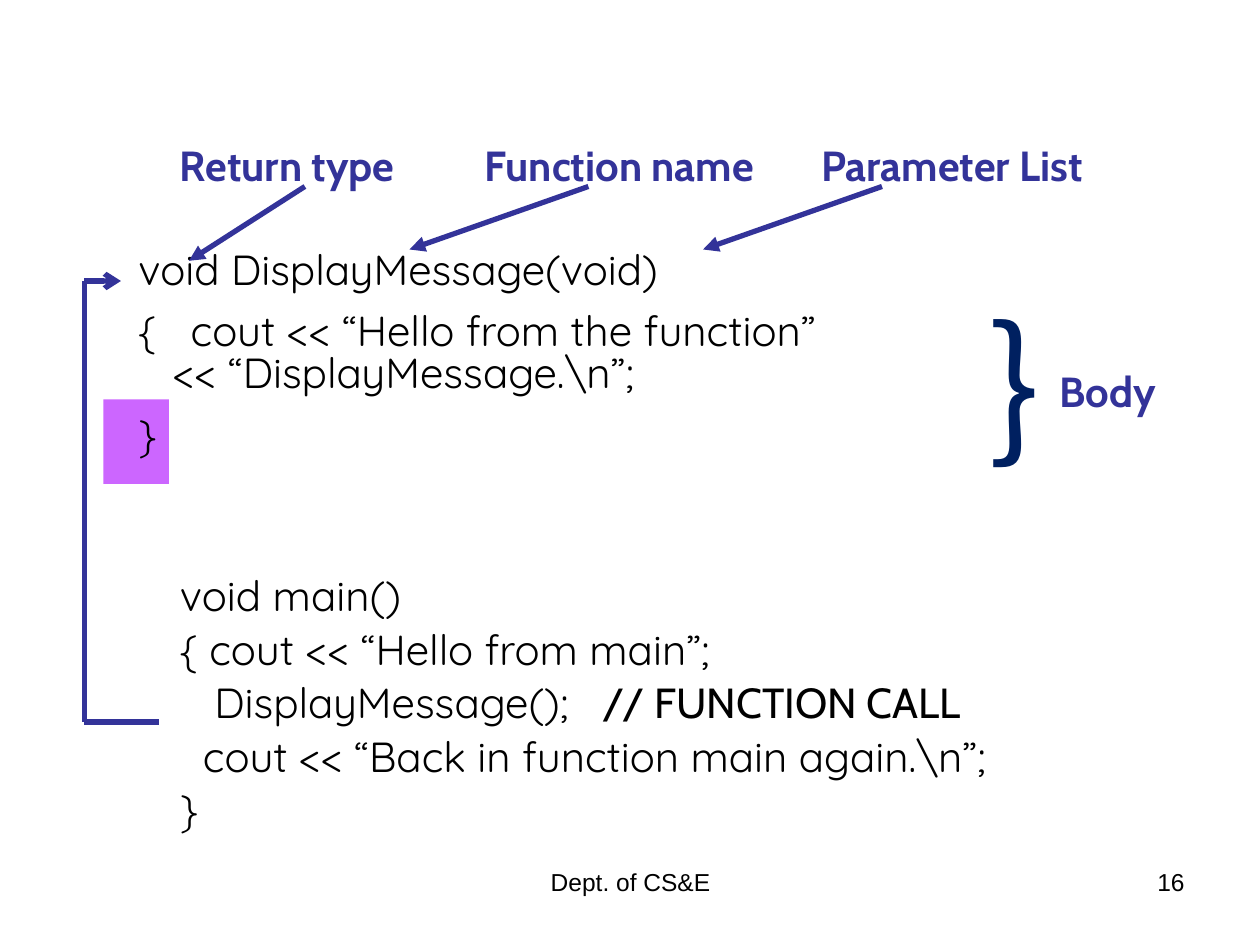
from pptx import Presentation
from pptx.dml.color import RGBColor
from pptx.enum.shapes import MSO_CONNECTOR as Connector, MSO_SHAPE as Shape
from pptx.enum.text import PP_ALIGN as Align
from pptx.oxml.ns import qn
from pptx.util import Inches, Pt
from lxml.etree import SubElement

BLACK = RGBColor(0x00, 0x00, 0x00)
INDIGO = RGBColor(0x33, 0x33, 0x99)
NAVY = RGBColor(0x00, 0x20, 0x60)
PURPLE = RGBColor(0xCC, 0x66, 0xFF)
CODE_FONT = "Quicksand"
LABEL_FONT = "Cabin"


def add_box(page, left, top, width, height):
    box = page.shapes.add_textbox(Inches(left), Inches(top), Inches(width), Inches(height))
    box.text_frame.word_wrap = True
    return box.text_frame


def add_span(para, text, size, font, color, bold=False):
    span = para.add_run()
    span.text = text
    span.font.size = Pt(size)
    span.font.name = font
    span.font.bold = bold
    span.font.color.rgb = color


def add_text(page, place, text, size, font, color, bold=False, align=Align.LEFT):
    para = add_box(page, *place).paragraphs[0]
    para.alignment = align
    add_span(para, text, size, font, color, bold)


def add_code(page, place, lines, spacings):
    """Each line is a list of (text, font) spans; None breaks the line."""
    frame = add_box(page, *place)
    for index, (spans, spacing) in enumerate(zip(lines, spacings)):
        para = frame.add_paragraph() if index else frame.paragraphs[0]
        para.line_spacing = spacing
        para.space_before = Pt(10.5 if index else 0)
        for span in spans:
            if span is None:
                para.add_line_break()
            else:
                add_span(para, span[0], 24, span[1], BLACK)


def add_line(shapes, start, end, head=None):
    points = [Inches(value) for value in (*start, *end)]
    line = shapes.add_connector(Connector.STRAIGHT, *points)
    line.line.color.rgb = INDIGO
    line.line.width = Pt(3)
    if head:
        SubElement(line.line._get_or_add_ln(), qn("a:tailEnd"), type=head)
    SubElement(line._element.spPr, qn("a:effectLst"))


def add_highlight(page, left, top, width, height):
    mark = page.shapes.add_shape(
        Shape.RECTANGLE, Inches(left), Inches(top), Inches(width), Inches(height))
    mark.shadow.inherit = False
    mark.fill.solid()
    mark.fill.fore_color.rgb = PURPLE
    mark.line.fill.background()


def main():
    deck = Presentation()
    deck.slide_width, deck.slide_height = Inches(10), Inches(7.5)
    page = deck.slides.add_slide(deck.slide_layouts[6])

    # Function definition, with its closing brace highlighted
    add_highlight(page, 0.82, 3.17, 0.52, 0.67)
    add_code(page, (1, 1.98, 7.97, 1.71), [
        [("void DisplayMessage(void)", CODE_FONT)],
        [("{   cout << “Hello from the function”", CODE_FONT), None,
         ("   << “DisplayMessage.\\n”;", CODE_FONT)],
        [("}", CODE_FONT)],
    ], [0.75, 0.85, 0.85])

    # Calling program
    add_code(page, (1.33, 4.58, 8.42, 2.09), [
        [("void main()", CODE_FONT)],
        [("{ cout << “Hello from main”;", CODE_FONT)],
        [("   DisplayMessage();   ", CODE_FONT), ("// FUNCTION CALL", LABEL_FONT)],
        [("  cout << “Back in function main again.\\n”;", CODE_FONT)],
        [("}", CODE_FONT)],
    ], [0.7] * 5)

    # Path from the call up to the definition
    path_group = page.shapes.add_group_shape()
    corners = [(1.26, 5.73), (0.67, 5.73), (0.67, 2.23), (0.96, 2.23)]
    heads = [None, None, "arrow"]
    for start, end, head in zip(corners, corners[1:], heads):
        add_line(path_group.shapes, start, end, head)

    # Labels and their arrows
    labels = [
        ("Return type", (1.33, 1.06, 2.58, 0.5), (2.42, 1.48), (1.5, 2.07)),
        ("Function name", (3.75, 1.06, 2.58, 0.9), (4.67, 1.48), (3.25, 1.98)),
        ("Parameter List", (6.42, 1.06, 2.75, 0.5), (7, 1.48), (5.58, 1.98)),
    ]
    for text, place, start, end in labels:
        add_text(page, place, text, 24, LABEL_FONT, INDIGO, bold=True)
        add_line(page.shapes, start, end, "triangle")

    # Brace around the body
    add_text(page, (7.75, 2.23, 0.92, 1.57), "}", 88, "Noto Sans CJK JP", NAVY)
    add_text(page, (8.31, 2.85, 1.11, 0.5), "Body", 24, LABEL_FONT, INDIGO, bold=True)

    # Footer and page number
    add_text(page, (3.42, 6.83, 3.17, 0.52), "Dept. of CS&E", 14, "Arial", BLACK,
             align=Align.CENTER)
    add_text(page, (7.17, 6.83, 2.33, 0.52), "16", 14, "Arial", BLACK, align=Align.RIGHT)

    deck.save("out.pptx")


if __name__ == "__main__":
    main()
